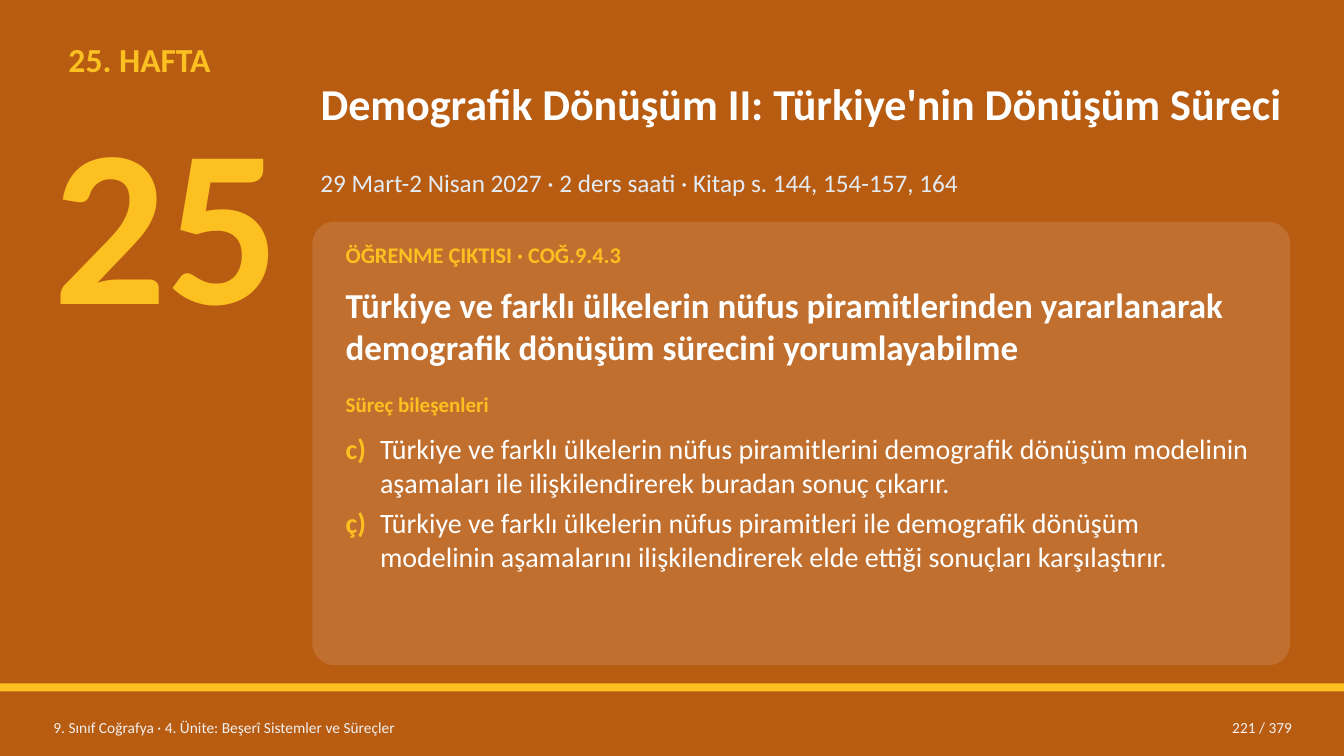
"""Build the opening slide of week 25 of a geography course."""
from dataclasses import dataclass

from lxml import etree
from pptx import Presentation
from pptx.dml.color import RGBColor
from pptx.enum.shapes import MSO_SHAPE
from pptx.enum.text import MSO_ANCHOR, MSO_AUTO_SIZE, PP_ALIGN
from pptx.oxml.ns import qn
from pptx.util import Pt

RECTANGLE, ROUNDED = MSO_SHAPE.RECTANGLE, MSO_SHAPE.ROUNDED_RECTANGLE
TOP, MIDDLE = MSO_ANCHOR.TOP, MSO_ANCHOR.MIDDLE
LEFT, RIGHT = PP_ALIGN.LEFT, PP_ALIGN.RIGHT
NO_FIT = MSO_AUTO_SIZE.NONE


@dataclass(frozen=True)
class Theme:
    """Colours, font and type sizes of the slide."""
    font: str = "Calibri"
    ground: str = "B85C12"
    accent: str = "FCC021"
    white: str = "FFFFFF"
    pale: str = "E3ECF5"
    footer: str = "F0F0F0"
    week: float = 24
    numeral: float = 160
    title: float = 31.5
    dates: float = 18
    label: float = 16
    outcome: float = 25
    subheading: float = 15
    steps: float = 20
    small: float = 11


THEME = Theme()
SLIDE_WIDTH, SLIDE_HEIGHT = 960, 540
CONTENT = (223.2, 698.4)
INNER = (241.2, 662.4)
HANG = 24.5
STEPS = [
    ("c)", "Türkiye ve farklı ülkelerin nüfus piramitlerini demografik dönüşüm "
           "modelinin aşamaları ile ilişkilendirerek buradan sonuç çıkarır."),
    ("ç)", "Türkiye ve farklı ülkelerin nüfus piramitleri ile demografik dönüşüm "
           "modelinin aşamalarını ilişkilendirerek elde ettiği sonuçları karşılaştırır."),
]


def apply(target, values):
    """Set each named attribute of the target."""
    for name, value in values.items():
        setattr(target, name, value)


def place(shape, left, top, width, height):
    """Move and size a shape, in points."""
    apply(shape, {"left": Pt(left), "top": Pt(top), "width": Pt(width), "height": Pt(height)})


def set_frame(frame, anchor=TOP, inset=2.9):
    """Give a text frame its margins, wrapping and anchor."""
    apply(frame, {"word_wrap": True, "auto_size": NO_FIT, "vertical_anchor": anchor,
                  "margin_left": Pt(5.76), "margin_right": Pt(5.76),
                  "margin_top": Pt(inset), "margin_bottom": Pt(inset)})


def add_run(paragraph, text, size, color, bold=False):
    """Add one formatted run to a paragraph."""
    run = paragraph.add_run()
    run.text = text
    apply(run.font, {"name": THEME.font, "size": Pt(size), "bold": bold})
    run.font.color.rgb = RGBColor.from_string(color)


def write_line(shape, text, size, color, bold=False, anchor=TOP, align=LEFT, inset=2.9):
    """Fill a shape with a single paragraph."""
    set_frame(shape.text_frame, anchor, inset)
    paragraph = shape.text_frame.paragraphs[0]
    paragraph.alignment = align
    add_run(paragraph, text, size, color, bold)


def add_label(slide, box, *content, **layout):
    """Add a text box holding one line."""
    label = slide.shapes.add_textbox(*map(Pt, box))
    write_line(label, *content, **layout)


def add_panel(slide, kind, box, color, opacity=100):
    """Add a borderless filled shape behind the text."""
    panel = slide.shapes.add_shape(kind, *map(Pt, box))
    panel.shadow.inherit = False
    panel.line.fill.background()
    panel.fill.solid()
    panel.fill.fore_color.rgb = RGBColor.from_string(color)
    if opacity < 100:
        tint = panel.fill._xPr.find(qn("a:solidFill"))[0]
        etree.SubElement(tint, qn("a:alpha"), val=str(opacity * 1000))
    slide.shapes._spTree.insert(2, panel._element)
    return panel


def write_steps(body, steps):
    """Write lettered steps with a hanging indent."""
    set_frame(body.text_frame)
    for index, (letter, step) in enumerate(steps):
        paragraph = body.text_frame.paragraphs[0] if index == 0 else body.text_frame.add_paragraph()
        properties = paragraph._p.get_or_add_pPr()
        properties.set("marL", str(Pt(HANG)))
        properties.set("indent", str(-Pt(HANG)))
        etree.SubElement(properties, qn("a:buNone"))
        apply(paragraph, {"space_before": Pt(0), "space_after": Pt(5 if index < len(steps) - 1 else 0)})
        add_run(paragraph, letter + "\t", THEME.steps, THEME.accent, True)
        add_run(paragraph, step, THEME.steps, THEME.white)


def main():
    """Assemble and save the slide."""
    deck = Presentation()
    apply(deck, {"slide_width": Pt(SLIDE_WIDTH), "slide_height": Pt(SLIDE_HEIGHT)})
    slide = deck.slides.add_slide(deck.slide_layouts[1])
    slide.background.fill.solid()
    slide.background.fill.fore_color.rgb = RGBColor.from_string(THEME.ground)

    content_left, content_width = CONTENT
    inner_left, inner_width = INNER
    card = add_panel(slide, ROUNDED, (content_left, 158.4, content_width, 316.8), THEME.white, 12)
    card.adjustments[0] = 0.05
    add_panel(slide, RECTANGLE, (0, 488.16, SLIDE_WIDTH, 5.76), THEME.accent)

    title = slide.shapes.title
    place(title, content_left, 32.4, content_width, 82.8)
    write_line(title, "Demografik Dönüşüm II: Türkiye'nin Dönüşüm Süreci",
               THEME.title, THEME.white, True, anchor=MIDDLE)
    body = slide.placeholders[1]
    place(body, inner_left, 305.28, inner_width, 160.56)
    write_steps(body, STEPS)

    add_label(slide, (43.2, 25.2, 187.2, 39.6), "25. HAFTA", THEME.week, THEME.accent, True)
    add_label(slide, (32.4, 57.6, 187.2, 198), "25", THEME.numeral, THEME.accent, True, inset=0)
    add_label(slide, (content_left, 116.64, content_width, 32.4),
              "29 Mart-2 Nisan 2027 · 2 ders saati · Kitap s. 144, 154-157, 164",
              THEME.dates, THEME.pale)
    add_label(slide, (inner_left, 169.2, inner_width, 28.8), "ÖĞRENME ÇIKTISI · COĞ.9.4.3",
              THEME.label, THEME.accent, True)
    add_label(slide, (inner_left, 199.44, inner_width, 68.4),
              "Türkiye ve farklı ülkelerin nüfus piramitlerinden yararlanarak "
              "demografik dönüşüm sürecini yorumlayabilme", THEME.outcome, THEME.white, True)
    add_label(slide, (inner_left, 276.48, inner_width, 27.36), "Süreç bileşenleri",
              THEME.subheading, THEME.accent, True)
    add_label(slide, (32.4, 506.88, 547.2, 25.92),
              "9. Sınıf Coğrafya · 4. Ünite: Beşerî Sistemler ve Süreçler",
              THEME.small, THEME.footer, anchor=MIDDLE)
    add_label(slide, (813.6, 506.88, 115.2, 25.92), "221 / 379",
              THEME.small, THEME.footer, anchor=MIDDLE, align=RIGHT)
    deck.save("out.pptx")


if __name__ == "__main__":
    main()
